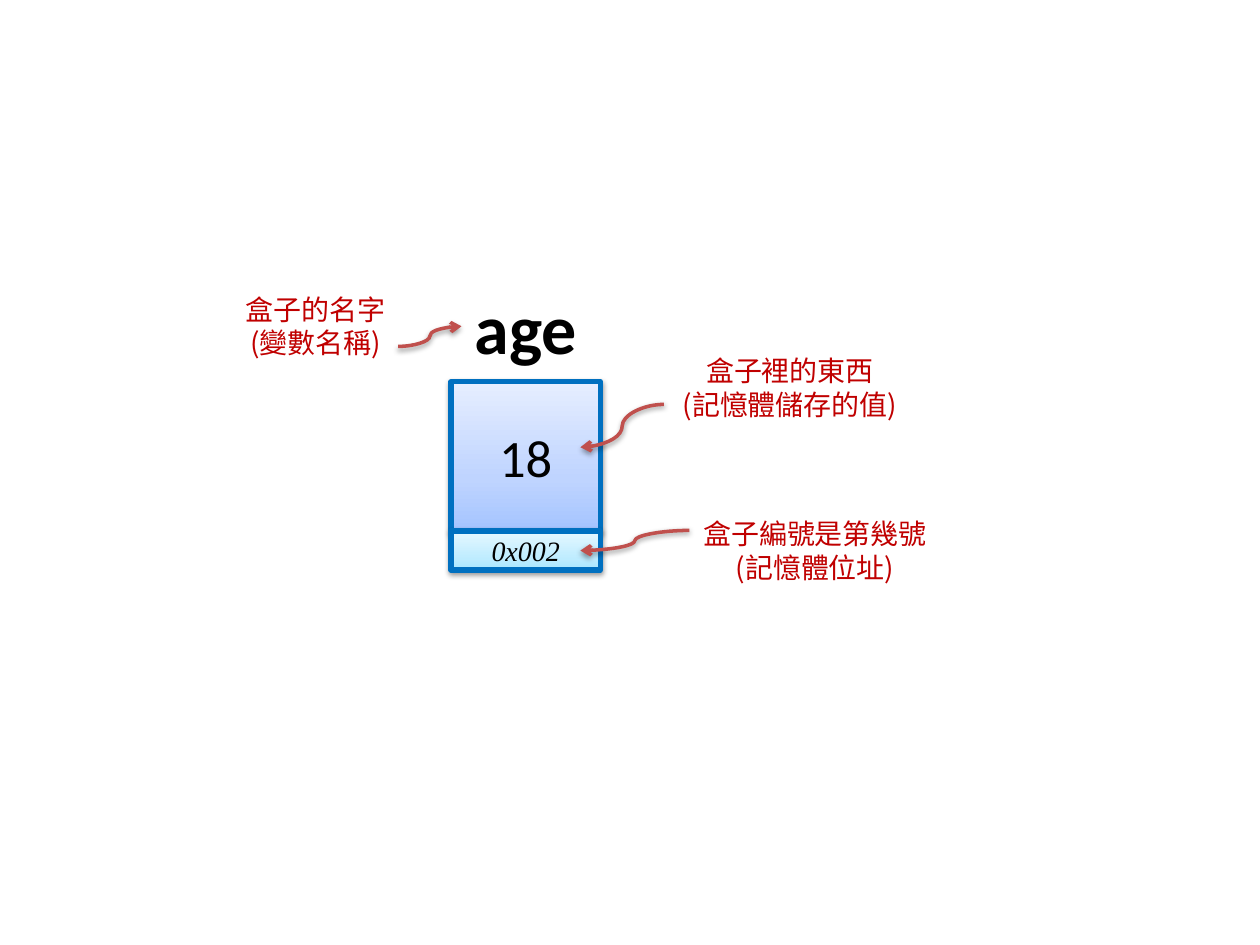
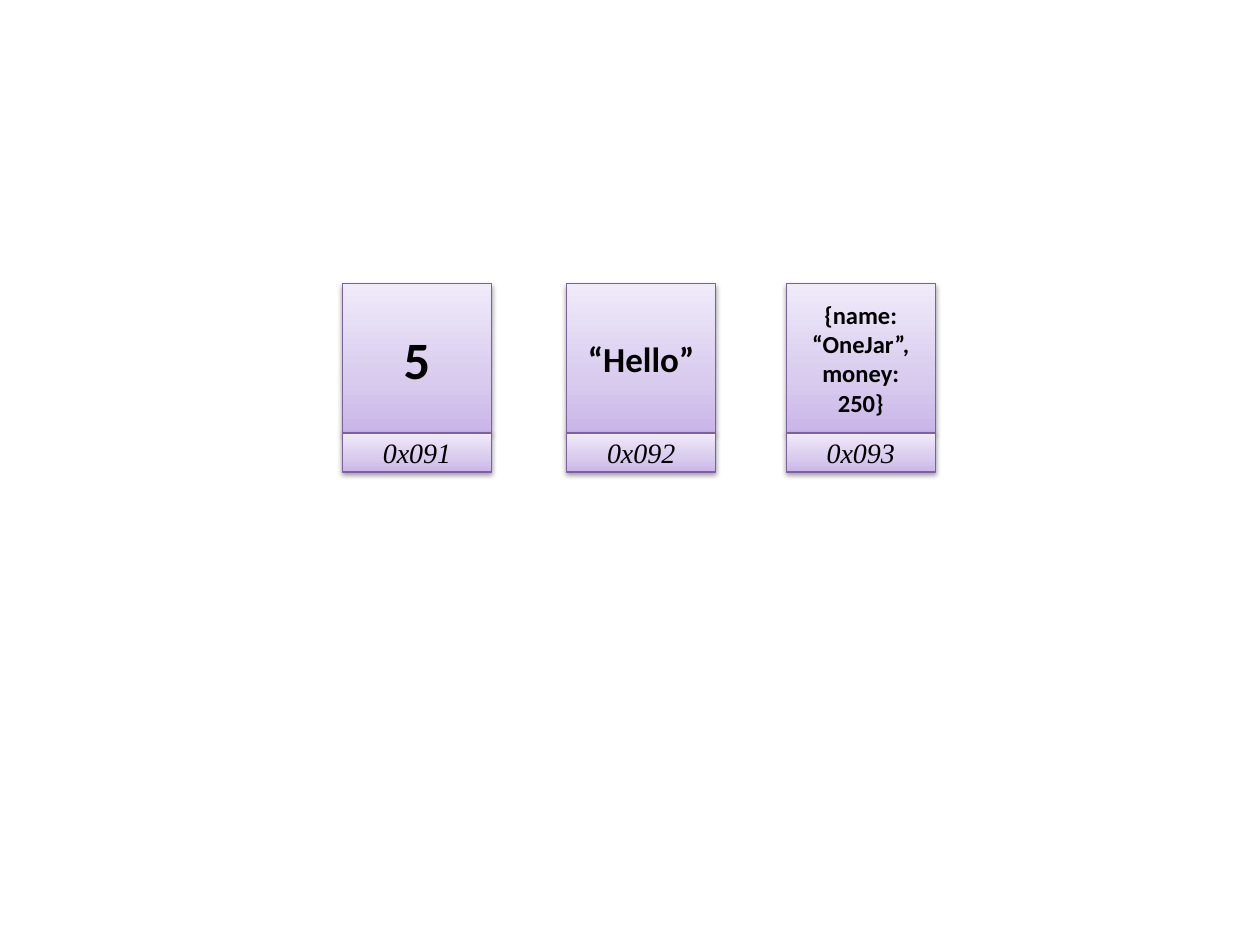
import dataclasses

import lxml.etree
import pptx
import pptx.dml.color
import pptx.enum.shapes
import pptx.enum.text
import pptx.oxml
import pptx.oxml.ns
import pptx.util

Pt = pptx.util.Pt
qn = pptx.oxml.ns.qn

COLORS = {
    "ink": "000000",
    "note": "C00000",
    "arrow": "C0504D",
    "blue_edge": "0070C0",
    "purple_edge": "7D60A0",
}
SANS, SERIF, CJK = "Calibri", "Times New Roman", "Noto Sans CJK SC"
BOX_SIDE, ADDRESS_HEIGHT = 85.2, 22.4
NOTE_HEIGHT = 46


@dataclasses.dataclass(frozen=True)
class TextStyle:
    size: float
    font: str
    color: str = "ink"
    bold: bool = False
    italic: bool = False


@dataclasses.dataclass(frozen=True)
class BoxStyle:
    value_stops: tuple[str, str, str]
    address_stops: tuple[str, str, str]
    edge: str
    edge_width: float


@dataclasses.dataclass(frozen=True)
class MemoryBox:
    left: float
    top: float
    value: str
    value_style: TextStyle
    address: str
    style: BoxStyle
    name: str = ""


@dataclasses.dataclass(frozen=True)
class Note:
    left: float
    top: float
    width: float
    lines: tuple[str, str]
    arrow_start: tuple[float, float]
    arrow_end: tuple[float, float]


ADDRESS_TEXT = TextStyle(16, SERIF, italic=True)
NAME_TEXT = TextStyle(40, SANS, bold=True)
NOTE_TEXT = TextStyle(16, CJK, "note")

LILAC = ("C9B5E8", "D8CBEE", "F0EAF9")
VARIABLE_STYLE = BoxStyle(
    ("A4C4FF", "BFD4FF", "E6EEFF"), ("A7E6FF", "C1EDFF", "E7F8FF"), "blue_edge", 3
)
OBJECT_STYLE = BoxStyle(LILAC, LILAC, "purple_edge", 0.75)

VARIABLE = MemoryBox(
    257.8, 218.2, "18", TextStyle(30, SANS), "0x002", VARIABLE_STYLE, "age"
)
NOTES = (
    Note(379.4, 291.6, 172.8, ("盒子編號是第幾號", "(記憶體位址)"),
         (394, 303.1), (331.7, 314.6)),
    Note(119.5, 163.4, 121.7, ("盒子的名字", "(變數名稱)"),
         (227.5, 198), (263.7, 186.5)),
    Note(375.1, 198.7, 152.6, ("盒子裡的東西", "(記憶體儲存的值)"),
         (379.4, 231.1), (331.7, 255.6)),
)
OBJECTS = tuple(
    MemoryBox(left, 162.2, value, TextStyle(size, SANS, bold=True), address, OBJECT_STYLE)
    for left, value, size, address in (
        (195.7, "5", 30, "0x091"),
        (323.8, "“Hello”", 20, "0x092"),
        (449.3, "{name: “OneJar”, money: 250}", 14, "0x093"),
    )
)


def rgb(name: str) -> pptx.dml.color.RGBColor:
    return pptx.dml.color.RGBColor.from_string(COLORS[name])


def add_shadow(shape) -> None:
    properties = shape._element.spPr
    for effects in properties.findall(qn("a:effectLst")):
        properties.remove(effects)
    effects = lxml.etree.SubElement(properties, qn("a:effectLst"))
    shadow = lxml.etree.SubElement(
        effects, qn("a:outerShdw"), blurRad=str(Pt(3.1)), dist=str(Pt(1.6)),
        dir="5400000", rotWithShape="0",
    )
    color = lxml.etree.SubElement(shadow, qn("a:srgbClr"), val=COLORS["ink"])
    lxml.etree.SubElement(color, qn("a:alpha"), val="38000")


def fill_gradient(shape, stops: tuple[str, str, str]) -> None:
    shape.fill.gradient()
    shape.fill.gradient_angle = 90
    stop_list = shape._element.spPr.find(".//" + qn("a:gsLst"))
    for default_stop in list(stop_list):
        stop_list.remove(default_stop)
    for position, color in zip((0, 35, 100), stops):
        stop = lxml.etree.SubElement(stop_list, qn("a:gs"), pos=str(position * 1000))
        lxml.etree.SubElement(stop, qn("a:srgbClr"), val=color)


def write_lines(frame, lines: tuple[str, ...], style: TextStyle) -> None:
    for index, line in enumerate(lines):
        paragraph = frame.add_paragraph() if index else frame.paragraphs[0]
        paragraph.alignment = pptx.enum.text.PP_ALIGN.CENTER
        run = paragraph.add_run()
        run.text = line
        run.font.size = Pt(style.size)
        run.font.name = style.font
        run.font.bold = style.bold
        run.font.italic = style.italic
        run.font.color.rgb = rgb(style.color)
        if style.font == CJK:
            lxml.etree.SubElement(run.font._element, qn("a:ea"), typeface=CJK)


def add_cell(shapes, left: float, top: float, height: float, stops: tuple[str, str, str],
             style: BoxStyle, text: str, text_style: TextStyle) -> None:
    cell = shapes.add_shape(
        pptx.enum.shapes.MSO_SHAPE.RECTANGLE, Pt(left), Pt(top), Pt(BOX_SIDE), Pt(height)
    )
    fill_gradient(cell, stops)
    cell.line.color.rgb = rgb(style.edge)
    cell.line.width = Pt(style.edge_width)
    add_shadow(cell)
    cell.text_frame.vertical_anchor = pptx.enum.text.MSO_ANCHOR.MIDDLE
    write_lines(cell.text_frame, (text,), text_style)


def add_text(shapes, left: float, top: float, width: float, height: float,
             lines: tuple[str, ...], style: TextStyle) -> None:
    frame = shapes.add_textbox(Pt(left), Pt(top), Pt(width), Pt(height)).text_frame
    frame.word_wrap = False
    frame.auto_size = pptx.enum.text.MSO_AUTO_SIZE.SHAPE_TO_FIT_TEXT
    write_lines(frame, lines, style)


def add_memory_box(slide, box: MemoryBox) -> None:
    shapes = slide.shapes.add_group_shape().shapes
    style = box.style
    add_cell(shapes, box.left, box.top, BOX_SIDE, style.value_stops, style,
             box.value, box.value_style)
    add_cell(shapes, box.left, box.top + BOX_SIDE, ADDRESS_HEIGHT, style.address_stops,
             style, box.address, ADDRESS_TEXT)
    if box.name:
        add_text(shapes, box.left + 5.9, box.top - 59, 73.4, 55.4, (box.name,), NAME_TEXT)


def add_arrow(slide, start: tuple[float, float], end: tuple[float, float]) -> None:
    arrow = slide.shapes.add_connector(
        pptx.enum.shapes.MSO_CONNECTOR.CURVE, *(Pt(value) for value in start + end)
    )
    arrow.line.color.rgb = rgb("arrow")
    arrow.line.width = Pt(2)
    lxml.etree.SubElement(arrow.line._get_or_add_ln(), qn("a:tailEnd"), type="arrow")
    add_shadow(arrow)


def main() -> None:
    deck = pptx.Presentation()
    deck.slide_width, deck.slide_height = Pt(720), Pt(540)
    blank = deck.slide_layouts[6]

    variable_slide = deck.slides.add_slide(blank)
    add_memory_box(variable_slide, VARIABLE)
    for note in NOTES:
        add_text(variable_slide.shapes, note.left, note.top, note.width, NOTE_HEIGHT,
                 note.lines, NOTE_TEXT)
    for note in NOTES:
        add_arrow(variable_slide, note.arrow_start, note.arrow_end)

    objects_slide = deck.slides.add_slide(blank)
    for box in OBJECTS:
        add_memory_box(objects_slide, box)

    deck.save("out.pptx")


if __name__ == "__main__":
    main()
